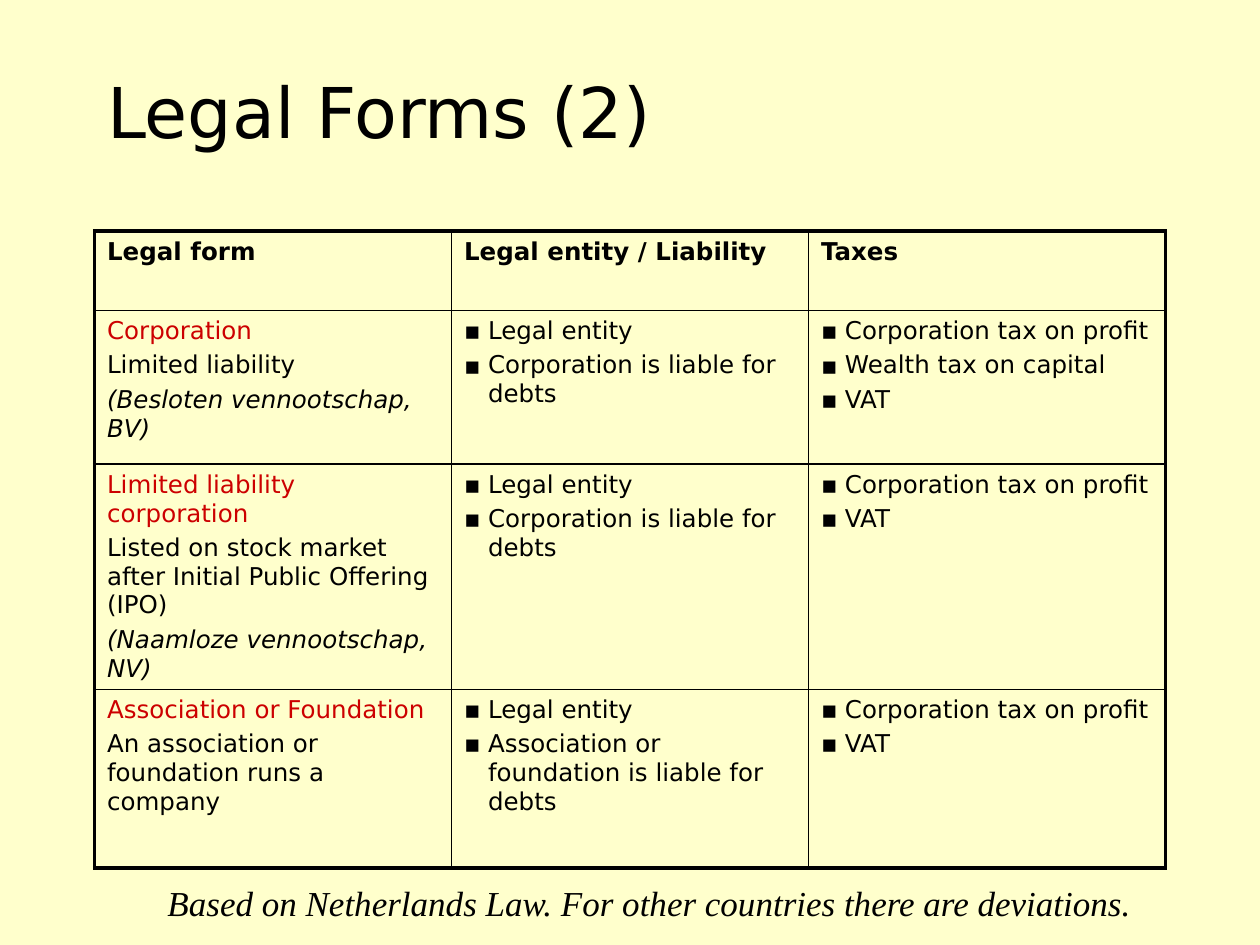
from lxml.etree import SubElement
from pptx import Presentation
from pptx.dml.color import RGBColor
from pptx.enum.text import MSO_ANCHOR, MSO_AUTO_SIZE, PP_ALIGN
from pptx.oxml import parse_xml
from pptx.oxml.ns import nsdecls, qn
from pptx.util import Pt

COLORS = {"background": "FFFFCC", "text": "000000", "form": "CC0000"}
SANS, SERIF = "DejaVu Sans", "Times New Roman"
THIN, THICK = 1, 2.25

HEADINGS = ["Legal form", "Legal entity / Liability", "Taxes"]
# Each row: legal form, description, Dutch name; then liability and taxes
LEGAL_FORMS = [
    (["Corporation", "Limited liability", "(Besloten vennootschap, BV)"],
     ["Legal entity", "Corporation is liable for debts"],
     ["Corporation tax on profit", "Wealth tax on capital", "VAT"]),
    (["Limited liability corporation",
      "Listed on stock market after Initial Public Offering (IPO)",
      "(Naamloze vennootschap, NV)"],
     ["Legal entity", "Corporation is liable for debts"],
     ["Corporation tax on profit", "VAT"]),
    (["Association or Foundation", "An association or foundation runs a company"],
     ["Legal entity", "Association or foundation is liable for debts"],
     ["Corporation tax on profit", "VAT"]),
]
ROW_HEIGHTS = [45.4, 87.8, 125.3, 102.2]
COLUMN_WIDTH = 204


class LegalSlide:
    def __init__(self, prs):
        self.slide = prs.slides.add_slide(prs.slide_layouts[5])
        fill = self.slide.background.fill
        fill.solid()
        fill.fore_color.rgb = RGBColor.from_string(COLORS["background"])

    def style(self, paragraph, size, face=SANS, color="text", bold=False, italic=False):
        for run in paragraph.runs:
            font = run.font
            font.name, font.size = face, Pt(size)
            font.bold, font.italic = bold, italic
            font.color.rgb = RGBColor.from_string(COLORS[color])

    def title(self, text, left, top, width, height):
        heading = self.slide.shapes.title
        heading.left, heading.top = Pt(left), Pt(top)
        heading.width, heading.height = Pt(width), Pt(height)
        frame = heading.text_frame
        frame.text = text
        frame.auto_size = MSO_AUTO_SIZE.NONE
        frame.vertical_anchor = MSO_ANCHOR.MIDDLE
        frame.paragraphs[0].alignment = PP_ALIGN.LEFT
        self.style(frame.paragraphs[0], 40)

    def note(self, text, left, top, width, height):
        box = self.slide.shapes.add_textbox(Pt(left), Pt(top), Pt(width), Pt(height))
        frame = box.text_frame
        frame.word_wrap = True
        frame.text = text
        self.style(frame.paragraphs[0], 20, SERIF, italic=True)

    def bullet(self, paragraph):
        props = paragraph._p.get_or_add_pPr()
        props.set("marL", str(Pt(13.7)))
        props.set("indent", str(-Pt(13.7)))
        color = SubElement(props, qn("a:buClr"))
        SubElement(color, qn("a:srgbClr"), val=COLORS["text"])
        SubElement(props, qn("a:buFont"), typeface=SANS)
        SubElement(props, qn("a:buChar"), char="▪")

    def borders(self, cell, outer_sides):
        cell.fill.background()
        props = cell._tc.get_or_add_tcPr()
        for index, side in enumerate("LRTB"):
            width = Pt(THICK if side in outer_sides else THIN)
            props.insert(index, parse_xml(
                f'<a:ln{side} {nsdecls("a")} w="{width}"><a:solidFill>'
                f'<a:srgbClr val="{COLORS["text"]}"/></a:solidFill></a:ln{side}>'))

    def fill_cell(self, cell, lines, is_heading, is_form):
        cell.text_frame.text = "\n".join(lines)
        for index, paragraph in enumerate(cell.text_frame.paragraphs):
            if not (is_heading or is_form):
                self.bullet(paragraph)
            if index:
                paragraph.space_before = Pt(3.2)
            names_form = is_form and not is_heading and index == 0
            self.style(paragraph, 14, color="form" if names_form else "text",
                       bold=is_heading, italic=paragraph.text.startswith("("))

    def table(self, rows, left, top):
        row_count, column_count = len(rows), len(rows[0])
        table = self.slide.shapes.add_table(
            row_count, column_count, Pt(left), Pt(top),
            Pt(COLUMN_WIDTH * column_count), Pt(sum(ROW_HEIGHTS))).table
        table.first_row = table.horz_banding = False
        for column in table.columns:
            column.width = Pt(COLUMN_WIDTH)
        for r, row in enumerate(rows):
            table.rows[r].height = Pt(ROW_HEIGHTS[r])
            for c, lines in enumerate(row):
                cell = table.cell(r, c)
                self.fill_cell(cell, lines, is_heading=r == 0, is_form=c == 0)
                edges = {"L": c == 0, "R": c == column_count - 1,
                         "T": r == 0, "B": r == row_count - 1}
                self.borders(cell, [side for side, outer in edges.items() if outer])


def main():
    prs = Presentation()
    prs.slide_width, prs.slide_height = Pt(720), Pt(540)
    page = LegalSlide(prs)
    # Title
    page.title("Legal Forms (2)", 54, 18, 582, 90)
    # Legal forms with their liability and taxes
    page.table([[[heading] for heading in HEADINGS], *LEGAL_FORMS], 54, 132)
    # Remark on other countries
    page.note("Based on Netherlands Law. For other countries there are deviations.",
              88.6, 500, 567, 31)
    prs.save("out.pptx")


if __name__ == "__main__":
    main()
